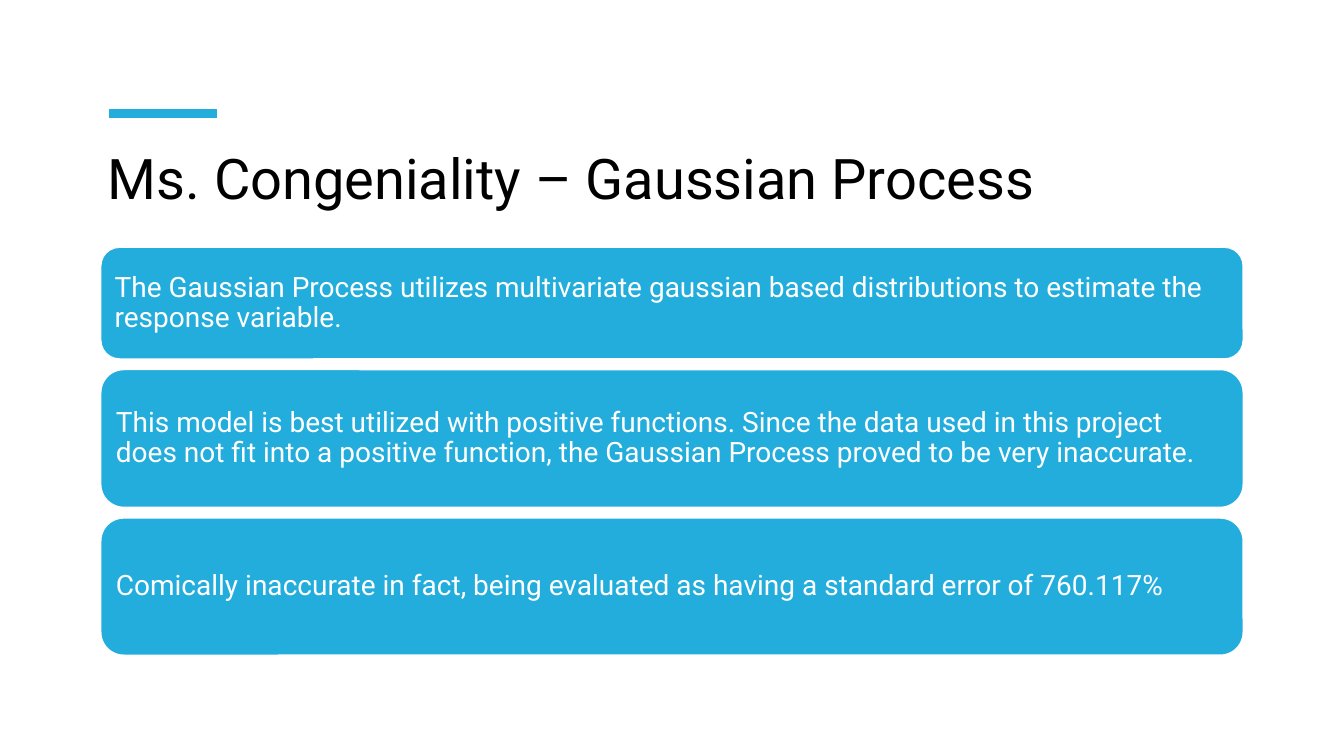
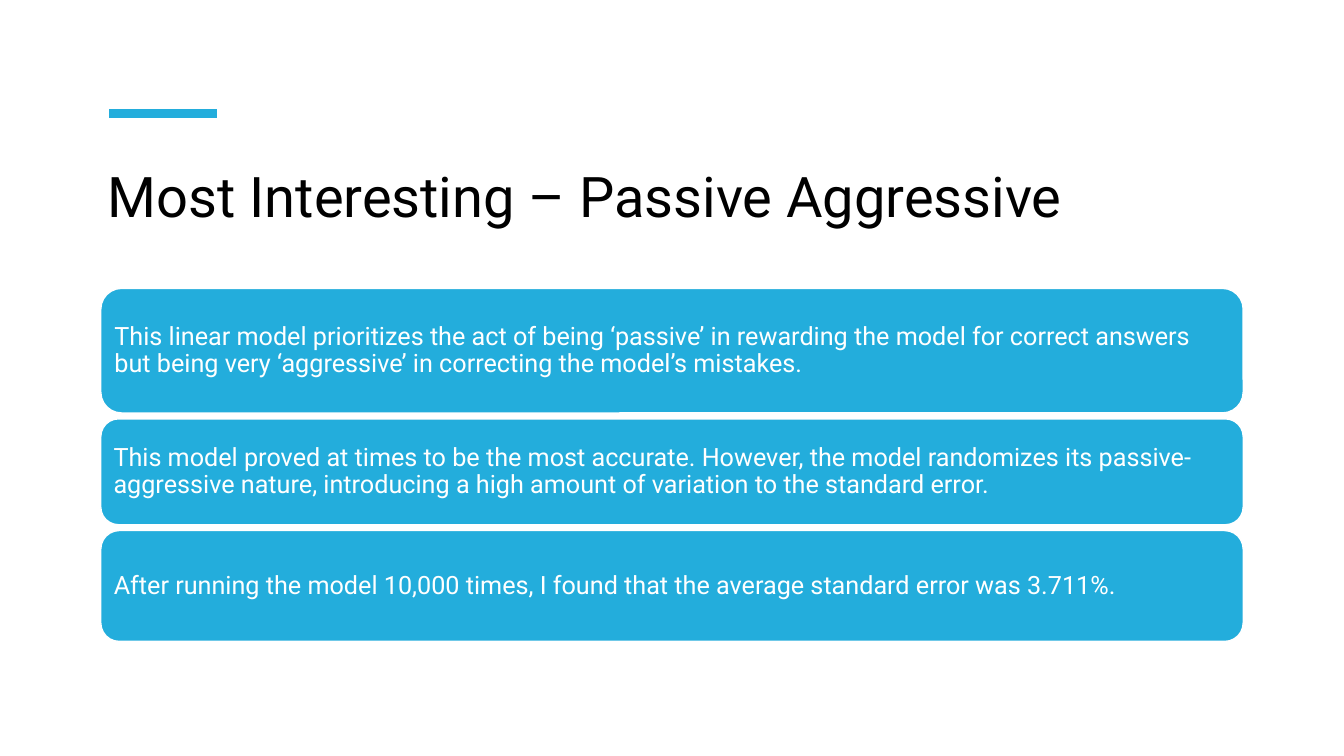
from dataclasses import dataclass

from lxml.etree import SubElement
from pptx import Presentation
from pptx.dml.color import RGBColor
from pptx.enum.shapes import MSO_CONNECTOR as Connector, MSO_SHAPE as Preset
from pptx.enum.text import MSO_ANCHOR as Anchor, MSO_AUTO_SIZE as AutoSize, PP_ALIGN as Align
from pptx.oxml.ns import qn
from pptx.slide import Slide
from pptx.text.text import TextFrame
from pptx.util import Pt


@dataclass(frozen=True)
class Theme:
    font: str = "Roboto"
    accent: RGBColor = RGBColor(0x23, 0xAD, 0xDC)
    ink: RGBColor = RGBColor(0x00, 0x00, 0x00)
    paper: RGBColor = RGBColor(0xFF, 0xFF, 0xFF)
    title_size: float = 40
    accent_weight: float = 6
    card_border: float = 1


@dataclass(frozen=True)
class Card:
    text: str
    height: float


@dataclass(frozen=True)
class ModelPage:
    title: str
    title_top: float
    cards_top: float
    card_gap: float
    card_text_size: float
    cards: tuple[Card, ...]


THEME = Theme()
SLIDE_WIDTH, SLIDE_HEIGHT = 960, 540
CONTENT_LEFT, CONTENT_WIDTH = 72, 816
TITLE_HEIGHT = 93.6
TITLE_INSET_X, TITLE_INSET_Y = 5, 7.2
ACCENT_LEFT, ACCENT_RIGHT, ACCENT_Y = 78, 155, 81.2
CARD_INSET_RATIO = 0.3  # card padding relative to its text size
CARD_LINE_SPACING = 0.9

PAGES = (
    ModelPage(
        "Ms. Congeniality – Gaussian Process",
        title_top=95, cards_top=176.6, card_gap=7.6, card_text_size=20,
        cards=(
            Card("The Gaussian Process utilizes multivariate gaussian based distributions "
                 "to estimate the response variable.", 79.8),
            Card("This model is best utilized with positive functions. Since the data used "
                 "in this project does not fit into a positive function, the Gaussian "
                 "Process proved to be very inaccurate.", 98.4),
            Card("Comically inaccurate in fact, being evaluated as having a standard error "
                 "of 760.117%", 98),
        ),
    ),
    ModelPage(
        "Most Interesting – Passive Aggressive",
        title_top=108, cards_top=206, card_gap=4.2, card_text_size=18,
        cards=(
            Card("This linear model prioritizes the act of being ‘passive’ in rewarding the "
                 "model for correct answers but being very ‘aggressive’ in correcting the "
                 "model’s mistakes.", 89),
            Card("This model proved at times to be the most accurate. However, the model "
                 "randomizes its passive-aggressive nature, introducing a high amount of "
                 "variation to the standard error.", 75.6),
            Card("After running the model 10,000 times, I found that the average standard "
                 "error was 3.711%.", 79.2),
        ),
    ),
)


def write_text(frame: TextFrame, text: str, size: float, color: RGBColor,
               anchor: Anchor, inset_x: float, inset_y: float) -> None:
    frame.text = text
    frame.word_wrap = True
    frame.auto_size = AutoSize.NONE
    frame.vertical_anchor = anchor
    frame.margin_left = frame.margin_right = Pt(inset_x)
    frame.margin_top = frame.margin_bottom = Pt(inset_y)
    paragraph = frame.paragraphs[0]
    paragraph.alignment = Align.LEFT
    font = paragraph.runs[0].font
    font.name = THEME.font
    font.size = Pt(size)
    font.color.rgb = color


def add_accent(slide: Slide) -> None:
    accent = slide.shapes.add_connector(
        Connector.STRAIGHT, Pt(ACCENT_LEFT), Pt(ACCENT_Y), Pt(ACCENT_RIGHT), Pt(ACCENT_Y))
    accent.line.color.rgb = THEME.accent
    accent.line.width = Pt(THEME.accent_weight)
    SubElement(accent.line._get_or_add_ln().getparent(), qn("a:effectLst"))


def place_title(slide: Slide, text: str, top: float) -> None:
    title = slide.shapes.title
    title.left, title.top = Pt(CONTENT_LEFT), Pt(top)
    title.width, title.height = Pt(CONTENT_WIDTH), Pt(TITLE_HEIGHT)
    write_text(title.text_frame, text, THEME.title_size, THEME.ink,
               Anchor.TOP, TITLE_INSET_X, TITLE_INSET_Y)


def add_card(slide: Slide, card: Card, top: float, text_size: float) -> None:
    panel = slide.shapes.add_shape(
        Preset.ROUNDED_RECTANGLE, Pt(CONTENT_LEFT), Pt(top), Pt(CONTENT_WIDTH), Pt(card.height))
    panel.shadow.inherit = False
    panel.fill.solid()
    panel.fill.fore_color.rgb = THEME.accent
    panel.line.color.rgb = THEME.paper
    panel.line.width = Pt(THEME.card_border)
    inset = text_size * CARD_INSET_RATIO
    write_text(panel.text_frame, card.text, text_size, THEME.paper,
               Anchor.MIDDLE, inset, inset)
    panel.text_frame.paragraphs[0].line_spacing = CARD_LINE_SPACING


def add_page(slide: Slide, page: ModelPage) -> None:
    add_accent(slide)
    place_title(slide, page.title, page.title_top)
    top = page.cards_top
    for card in page.cards:
        add_card(slide, card, top, page.card_text_size)
        top += card.height + page.card_gap


def main() -> None:
    deck = Presentation()
    deck.slide_width, deck.slide_height = Pt(SLIDE_WIDTH), Pt(SLIDE_HEIGHT)
    title_only = deck.slide_layouts.get_by_name("Title Only")
    for page in PAGES:
        add_page(deck.slides.add_slide(title_only), page)
    deck.save("out.pptx")


if __name__ == "__main__":
    main()
